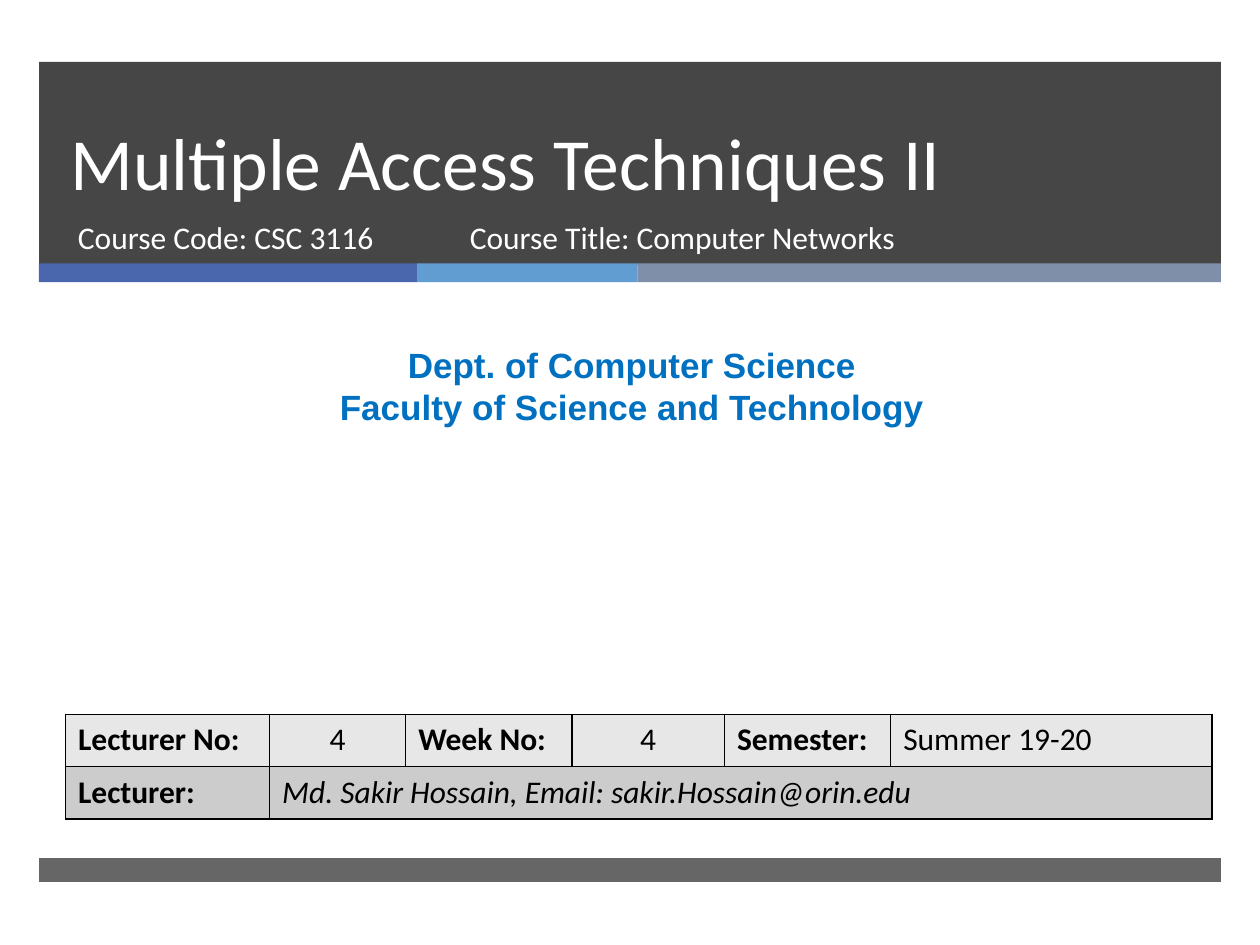
from lxml import etree
from pptx import Presentation
from pptx.dml.color import RGBColor
from pptx.enum import shapes, text
from pptx.oxml import ns
from pptx.util import Inches, Pt

HUES = {
    "dark": "262626", "blue": "4A66AC", "sky": "629DD1", "slate": "7F8FA9",
    "white": "FFFFFF", "black": "000000", "dept": "0070C0",
    "light": "E7E7E7", "grey": "CCCCCC",
}
LEFT, WIDE = 0.31, 9.38


def hue(name):
    return RGBColor.from_string(HUES[name])


def add_bar(slide, x, y, w, h, fill, alpha=100):
    bar = slide.shapes.add_shape(
        shapes.MSO_SHAPE.RECTANGLE, Inches(x), Inches(y), Inches(w), Inches(h))
    bar.shadow.inherit = False
    bar.fill.solid()
    bar.fill.fore_color.rgb = hue(fill)
    bar.line.fill.background()
    if alpha < 100:
        tint = bar._element.spPr.find(".//" + ns.qn("a:srgbClr"))
        etree.SubElement(tint, ns.qn("a:alpha"), val=str(alpha * 1000))


def style(para, size, color, face="Calibri", bold=False, italic=False):
    font = para.font
    font.name, font.size = face, Pt(size)
    font.bold, font.italic = bold, italic
    font.color.rgb = hue(color)


def add_text(slide, x, y, w, h, lines, size, color, **look):
    box = slide.shapes.add_textbox(Inches(x), Inches(y), Inches(w), Inches(h))
    frame = box.text_frame
    frame.word_wrap = True
    frame.text = "\n".join(lines)
    for para in frame.paragraphs:
        style(para, size, color, **look)
    return frame


def add_head(slide, x, y, w, h):
    add_bar(slide, x, y, w, h, "dark", 85)
    # Three-colour stripe along the foot of the band
    left = x
    for width, fill in ((3, "blue"), (1.75, "sky"), (4.63, "slate")):
        add_bar(slide, left, y + 1.6, width, 0.15, fill)
        left += width
    # Title and course lines
    title = add_text(slide, x + 0.15, y, 8.54, 1.19,
                     ["Multiple Access Techniques II"], 42, "white")
    title.vertical_anchor = text.MSO_ANCHOR.BOTTOM
    title.paragraphs[0].line_spacing = Pt(46)
    for dx, width, line in ((0.21, 3.05, "Course Code: CSC 3116"),
                            (3.32, 4.55, "Course Title: Computer Networks")):
        add_text(slide, x + dx, y + 1.19, width, 0.53, [line], 18, "white")


def add_dept(slide, x, y, w, h):
    frame = add_text(slide, x, y, w, h,
                     ["Dept. of Computer Science",
                      "Faculty of Science and Technology"],
                     20, "dept", face="Arial", bold=True)
    for para in frame.paragraphs:
        para.alignment = text.PP_ALIGN.CENTER


def add_edges(cell):
    props = cell._tc.get_or_add_tcPr()
    for spot, side in enumerate(("lnL", "lnR", "lnT", "lnB")):
        line = etree.Element(ns.qn("a:" + side), w=str(Pt(1)))
        fill = etree.SubElement(line, ns.qn("a:solidFill"))
        etree.SubElement(fill, ns.qn("a:srgbClr"), val=HUES["black"])
        props.insert(spot, line)


def add_info(slide, x, y, w, h):
    rows = [
        ["Lecturer No:", "4", "Week No:", "4", "Semester:", "Summer 19-20"],
        ["Lecturer:", "Md. Sakir Hossain, Email: sakir.Hossain@orin.edu"],
    ]
    cols = (1.62, 1.08, 1.32, 1.21, 1.32, 2.55)
    table = slide.shapes.add_table(
        len(rows), len(cols), Inches(x), Inches(y), Inches(w), Inches(h)).table
    for col, width in zip(table.columns, cols):
        col.width = Inches(width)
    table.cell(1, 1).merge(table.cell(1, 5))
    for r, fill in enumerate(("light", "grey")):
        for c in range(len(cols)):
            cell = table.cell(r, c)
            cell.fill.solid()
            cell.fill.fore_color.rgb = hue(fill)
            add_edges(cell)
        for c, words in enumerate(rows[r]):
            cell = table.cell(r, c)
            cell.text = words
            para = cell.text_frame.paragraphs[0]
            style(para, 18, "black", bold=words.endswith(":"),
                  italic=(r, c) == (1, 1))
            if words == "4":
                para.alignment = text.PP_ALIGN.CENTER


def main():
    deck = Presentation()
    deck.slide_width, deck.slide_height = Inches(10), Inches(7.5)
    slide = deck.slides.add_slide(deck.slide_layouts[6])
    add_head(slide, LEFT, 0.49, WIDE, 1.61)
    add_bar(slide, LEFT, 6.81, WIDE, 0.19, "dark", 70)
    add_dept(slide, 0.08, 2.68, 9.87, 0.77)
    add_info(slide, 0.52, 5.67, 9.1, 0.83)
    deck.save("out.pptx")


if __name__ == "__main__":
    main()
